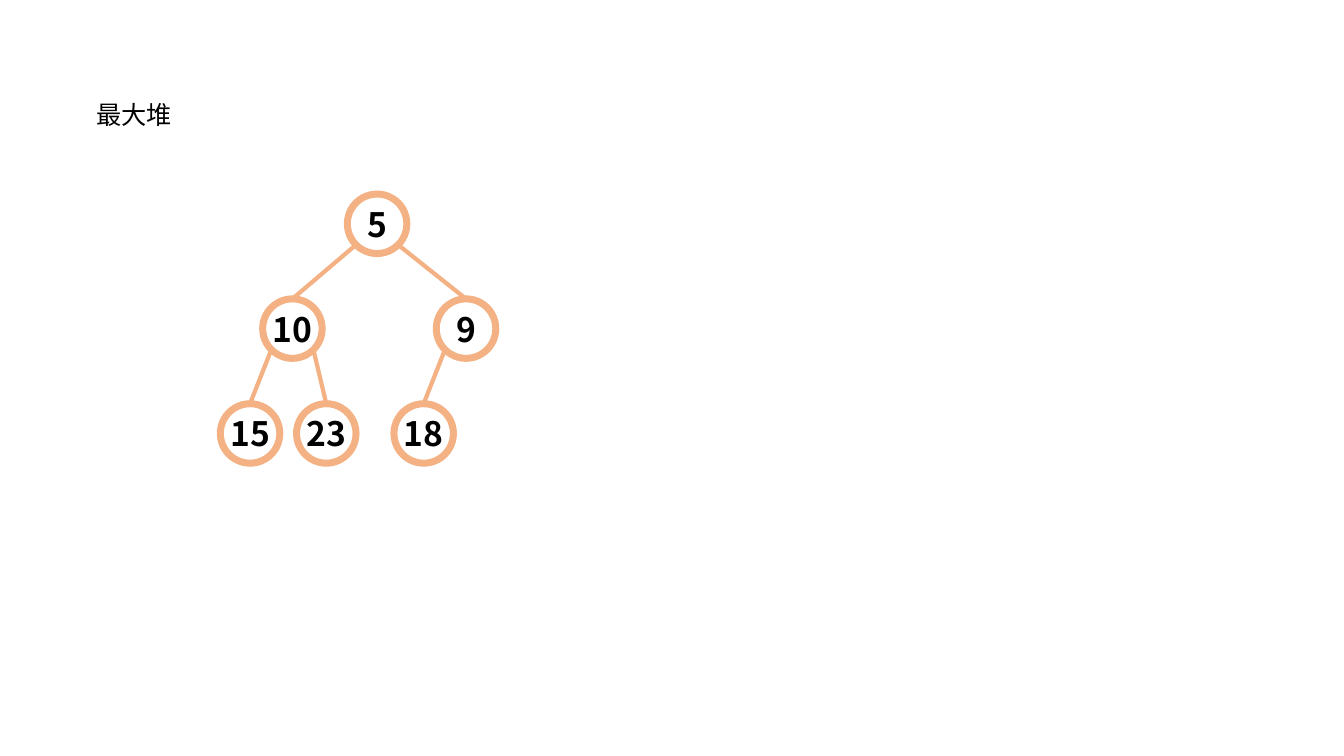
from math import sqrt

from lxml.etree import SubElement
from pptx import Presentation
from pptx.dml.color import RGBColor
from pptx.enum.shapes import MSO_CONNECTOR as Connector, MSO_SHAPE as Shape
from pptx.enum.text import MSO_ANCHOR as Anchor, MSO_AUTO_SIZE as AutoSize, PP_ALIGN as Align
from pptx.oxml.ns import qn
from pptx.util import Inches, Pt

ORANGE = RGBColor(0xF4, 0xB1, 0x83)
BLACK = RGBColor(0, 0, 0)
FONT = "Noto Sans CJK SC"

# Tree grid: centre of column 0 / row 0, spacing, and node size
LEFT, TOP = Inches(2.48), Inches(2.22)
COLUMN, ROW = Inches(0.42), Inches(1.04)
DIAMETER = Inches(0.59)

# Value: (column, row, parent)
TREE = {
    "5": (3, 0, None),
    "9": (5.1, 1, "5"),
    "10": (1, 1, "5"),
    "18": (4.1, 2, "9"),
    "23": (1.8, 2, "10"),
    "15": (0, 2, "10"),
}


def style_text(paragraph, size, bold=False):
    font = paragraph.font
    font.name, font.size, font.bold = FONT, Pt(size), bold
    font.color.rgb = BLACK
    # East Asian typeface
    properties = paragraph._p.pPr.find(qn("a:defRPr"))
    SubElement(properties, qn("a:ea")).set("typeface", FONT)


def add_title(slide, text):
    box = slide.shapes.add_textbox(Inches(0.86), Inches(0.94), Inches(0.96), Inches(0.4))
    frame = box.text_frame
    frame.word_wrap = False
    frame.auto_size = AutoSize.SHAPE_TO_FIT_TEXT
    frame.text = text
    style_text(frame.paragraphs[0], 18)


def add_node(slide, value, column, row):
    left = int(LEFT + column * COLUMN - DIAMETER / 2)
    top = int(TOP + row * ROW - DIAMETER / 2)
    node = slide.shapes.add_shape(Shape.OVAL, left, top, DIAMETER, DIAMETER)
    node.shadow.inherit = False
    node.fill.background()
    node.line.color.rgb = ORANGE
    node.line.width = Pt(5)
    frame = node.text_frame
    frame.margin_left = frame.margin_right = frame.margin_top = frame.margin_bottom = 0
    frame.vertical_anchor = Anchor.MIDDLE
    frame.text = value
    frame.paragraphs[0].alignment = Align.CENTER
    style_text(frame.paragraphs[0], 24, bold=True)
    return node


def add_branch(slide, parent, child):
    # Starts on the parent's lower diagonal, ends at the child's top
    radius = DIAMETER / 2
    diagonal = radius / sqrt(2)
    side = 1 if child.left > parent.left else -1
    start_x = int(parent.left + radius + side * diagonal)
    start_y = int(parent.top + radius + diagonal)
    branch = slide.shapes.add_connector(Connector.STRAIGHT, start_x, start_y, start_x, start_y)
    branch.end_connect(child, 0)
    branch.line.color.rgb = ORANGE
    branch.line.width = Pt(3)
    SubElement(branch._element.spPr, qn("a:effectLst"))
    # Branches lie behind the nodes
    slide.shapes._spTree.insert(2, branch._element)


def main():
    presentation = Presentation()
    presentation.slide_width, presentation.slide_height = Inches(13.33), Inches(7.5)
    slide = presentation.slides.add_slide(presentation.slide_layouts[6])

    # Heap tree
    nodes = {}
    for value, (column, row, parent) in TREE.items():
        nodes[value] = add_node(slide, value, column, row)
        if parent:
            add_branch(slide, nodes[parent], nodes[value])

    add_title(slide, "最大堆")
    presentation.save("out.pptx")


if __name__ == "__main__":
    main()
